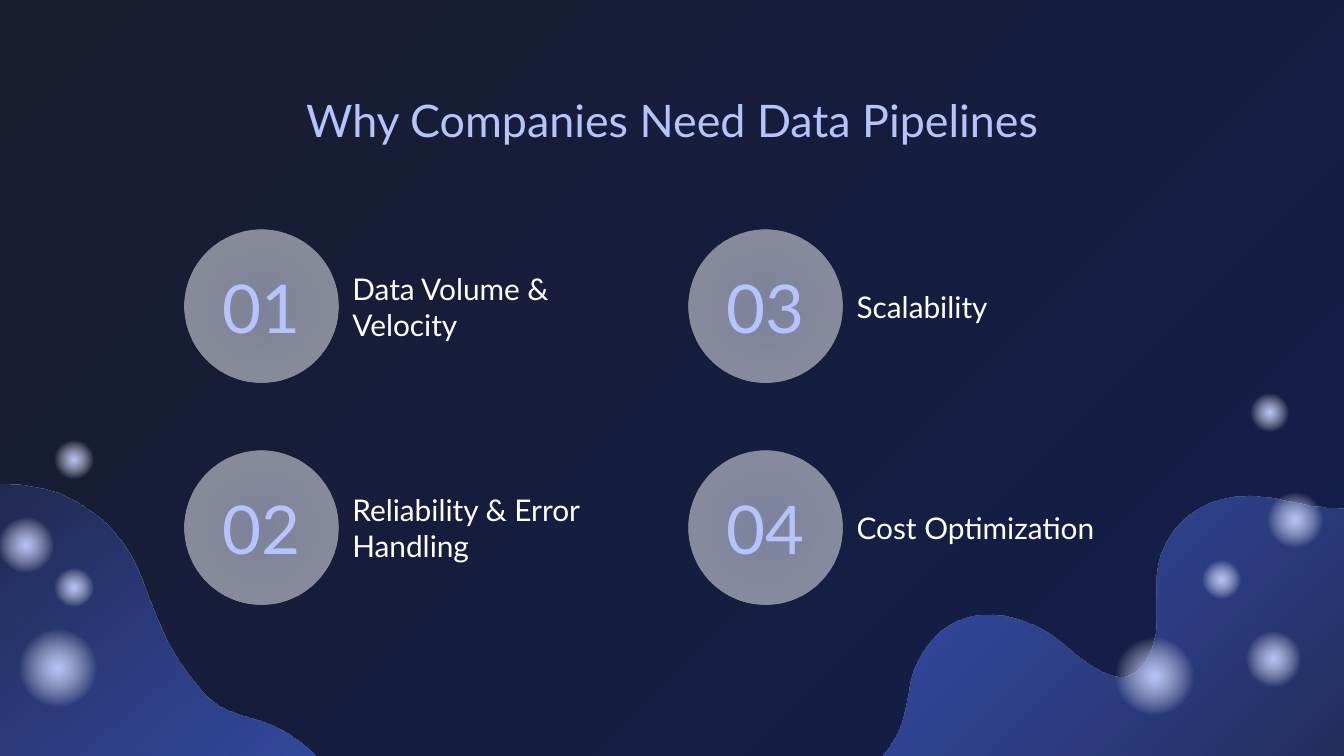
import pptx
import pptx.util
import pptx.dml.color
import pptx.enum.shapes
import pptx.enum.text
import pptx.oxml
import pptx.oxml.ns

Cm = pptx.util.Cm
RGBColor = pptx.dml.color.RGBColor
Anchor = pptx.enum.text.MSO_ANCHOR
Align = pptx.enum.text.PP_ALIGN

NIGHT = RGBColor(0x19, 0x1D, 0x30)
NAVY = RGBColor(0x13, 0x1E, 0x4B)
BLUE = RGBColor(0x4B, 0x6E, 0xF8)
LAVENDER = RGBColor(0xB5, 0xC4, 0xFC)
PALE = RGBColor(0xE7, 0xEC, 0xFF)
WHITE = RGBColor(0xFF, 0xFF, 0xFF)

# Gradient stops: position, colour, opacity (all in percent)
BACKDROP_STOPS = [(0, NIGHT, 100), (100, NAVY, 100)]
WAVE_STOPS = [(0, NIGHT, 100), (100, BLUE, 70)]
ORB_STOPS = [(0, LAVENDER, 100), (57, WHITE, 0), (100, WHITE, 0)]
BADGE_STOPS = [(0, PALE, 49), (77, WHITE, 49), (100, WHITE, 49)]

TITLE = "Why Companies Need Data Pipelines"
REASONS = ["Data Volume & Velocity", "Reliability & Error Handling",
           "Scalability", "Cost Optimization"]

BADGE_SIZE = 2.9
GRID_LEFT, GRID_TOP = 3.49, 4.34
COLUMN_STEP, ROW_STEP = 9.53, 4.18
LABEL_WIDTH, LABEL_HEIGHT = 5.97, 1.83

# Orbs: centre x, centre y, diameter in cm
ORBS = [(1.09, 12.62, 1.83), (0.5, 10.3, 1.3), (1.4, 8.69, 0.91),
        (1.4, 11.1, 0.91), (21.82, 12.78, 1.83), (24.07, 12.46, 1.3),
        (24, 7.8, 0.91), (23.09, 10.95, 0.91), (24.47, 9.84, 1.3)]

# Waves: start point, then Bezier segments (two controls and an end)
WAVE_UNIT = Cm(2.54)
RIGHT_START = (10.41, 3.63)
RIGHT_CURVES = [
    (10.33, 3.69, 10.2, 3.75, 10.1, 3.77), (9.94, 3.81, 9.78, 3.77, 9.62, 3.74),
    (9.51, 3.72, 9.4, 3.69, 9.29, 3.69), (9, 3.69, 8.76, 3.83, 8.65, 4.09),
    (8.53, 4.35, 8.69, 4.65, 8.52, 4.92), (8.34, 5.2, 8.04, 4.9, 7.87, 4.76),
    (7.66, 4.6, 7.32, 4.5, 7.08, 4.64), (6.96, 4.71, 6.86, 4.83, 6.81, 4.96),
    (6.75, 5.09, 6.76, 5.24, 6.71, 5.38), (6.66, 5.5, 6.57, 5.66, 6.44, 5.72),
    (6.3, 5.78, 6.15, 5.78, 6.01, 5.8), (5.43, 5.89, 4.86, 6.25, 4.63, 6.81),
    (4.6, 6.88, 4.57, 6.99, 4.57, 7.06)]
RIGHT_CORNERS = [(10.83, 7.06), (10.74, 3.25)]
LEFT_START = (1, 8.06)
LEFT_CURVES = [
    (1.18, 8.08, 1.37, 8.01, 1.51, 7.89), (1.63, 7.79, 1.71, 7.66, 1.78, 7.52),
    (1.84, 7.37, 1.86, 7.22, 1.93, 7.08), (2.08, 6.79, 2.38, 6.64, 2.48, 6.31),
    (2.54, 6.1, 2.51, 5.86, 2.39, 5.68), (2.3, 5.56, 2.18, 5.48, 2.05, 5.41),
    (1.98, 5.38, 1.92, 5.36, 1.85, 5.34), (1.8, 5.32, 1.75, 5.31, 1.7, 5.29),
    (1.61, 5.26, 1.54, 5.19, 1.48, 5.12), (1.34, 4.97, 1.24, 4.78, 1.16, 4.59),
    (1.08, 4.39, 1.03, 4.2, 0.9, 4.03), (0.78, 3.87, 0.62, 3.75, 0.43, 3.67),
    (0.34, 3.64, 0.25, 3.62, 0.15, 3.61), (-0.07, 3.59, -0.3, 3.64, -0.48, 3.77),
    (-0.62, 3.86, -0.73, 4, -0.73, 4.16), (-0.73, 4.27, -0.67, 4.37, -0.6, 4.45),
    (-0.5, 4.55, -0.37, 4.61, -0.29, 4.72), (-0.14, 4.9, -0.13, 5.17, -0.25, 5.37),
    (-0.37, 5.57, -0.58, 5.63, -0.8, 5.62), (-1.02, 5.62, -1.27, 5.74, -1.42, 5.9),
    (-1.58, 6.06, -1.67, 6.32, -1.61, 6.54), (-1.57, 6.68, -1.48, 6.8, -1.36, 6.87),
    (-1.29, 6.92, -1.2, 6.94, -1.11, 6.95), (-1.06, 6.95, -1.01, 6.96, -0.95, 6.96),
    (-0.88, 6.96, -0.8, 6.96, -0.72, 6.97), (-0.44, 6.99, -0.15, 7.06, 0.08, 7.24),
    (0.23, 7.36, 0.34, 7.52, 0.45, 7.68), (0.56, 7.81, 0.68, 7.95, 0.84, 8.02),
    (0.89, 8.04, 0.94, 8.05, 1, 8.06)]


def set_gradient(fill, properties, stops, angle=None):
    """Fill with a linear gradient, or a circular one when angle is None."""
    fill.background()
    stop_xml = "".join(
        f'<a:gs pos="{position * 1000}"><a:srgbClr val="{color}">'
        f'<a:alpha val="{opacity * 1000}"/></a:srgbClr></a:gs>'
        for position, color, opacity in stops)
    if angle is None:
        direction = ('<a:path path="circle"><a:fillToRect l="50000" t="50000" '
                     'r="50000" b="50000"/></a:path>')
    else:
        direction = f'<a:lin ang="{angle * 60000}" scaled="0"/>'
    gradient = pptx.oxml.parse_xml(
        f'<a:gradFill {pptx.oxml.ns.nsdecls("a")} rotWithShape="1">'
        f'<a:gsLst>{stop_xml}</a:gsLst>{direction}</a:gradFill>')
    properties.replace(properties.find(pptx.oxml.ns.qn("a:noFill")), gradient)


def style_shape(shape, stops, angle=None):
    shape.shadow.inherit = False
    shape.line.fill.background()
    set_gradient(shape.fill, shape.element.spPr, stops, angle)


def bend_lines(shape, count):
    """Turn the first 3 * count straight segments into count Bezier curves."""
    lines = list(shape.element.iter(pptx.oxml.ns.qn("a:lnTo")))
    for first in range(0, 3 * count, 3):
        curve = pptx.oxml.parse_xml(
            f'<a:cubicBezTo {pptx.oxml.ns.nsdecls("a")}/>')
        lines[first].addprevious(curve)
        for line in lines[first:first + 3]:
            curve.append(line[0])
            line.getparent().remove(line)


def add_wave(slide, start, curves, angle, corners=()):
    points = [start]
    for x1, y1, x2, y2, x3, y3 in curves:
        points += [(x1, y1), (x2, y2), (x3, y3)]
    points += corners
    outline = [(round(x * WAVE_UNIT), round(y * WAVE_UNIT)) for x, y in points]
    builder = slide.shapes.build_freeform(*outline[0])
    builder.add_line_segments(outline[1:], close=True)
    wave = builder.convert_to_shape()
    bend_lines(wave, len(curves))
    style_shape(wave, WAVE_STOPS, angle)


def add_disc(slide, left, top, size, stops):
    disc = slide.shapes.add_shape(pptx.enum.shapes.MSO_SHAPE.OVAL,
                                  Cm(left), Cm(top), Cm(size), Cm(size))
    style_shape(disc, stops)
    return disc


def write_text(shape, text, size, color, align, anchor=Anchor.MIDDLE, inset=0.25):
    frame = shape.text_frame
    frame_format = {"word_wrap": True, "vertical_anchor": anchor,
                    "auto_size": pptx.enum.text.MSO_AUTO_SIZE.NONE}
    for side in ("left", "top", "right", "bottom"):
        frame_format[f"margin_{side}"] = Cm(inset)
    for name, value in frame_format.items():
        setattr(frame, name, value)
    para = frame.paragraphs[0]
    para.alignment = align
    para.space_before = pptx.util.Pt(0)
    span = para.add_run()
    span.text = text
    for name, value in {"name": "Lato", "size": pptx.util.Pt(size),
                        "bold": False}.items():
        setattr(span.font, name, value)
    span.font.color.rgb = color


def place(shape, left, top, width, height):
    for name, value in {"left": left, "top": top,
                        "width": width, "height": height}.items():
        setattr(shape, name, Cm(value))


def remove_bullet(shape):
    properties = shape.text_frame.paragraphs[0]._p.get_or_add_pPr()
    properties.set("marL", "0")
    properties.set("indent", "0")
    properties.append(pptx.oxml.parse_xml(
        f'<a:buNone {pptx.oxml.ns.nsdecls("a")}/>'))


def add_reason(slide, index, label, text):
    column, row = divmod(index, 2)
    left = GRID_LEFT + column * COLUMN_STEP
    top = GRID_TOP + row * ROW_STEP
    badge = add_disc(slide, left, top, BADGE_SIZE, BADGE_STOPS)
    write_text(badge, f"{index + 1:02}", 36, LAVENDER, Align.CENTER, inset=0)
    place(label, left + BADGE_SIZE + 0.02, top + (BADGE_SIZE - LABEL_HEIGHT) / 2,
          LABEL_WIDTH, LABEL_HEIGHT)
    write_text(label, text, 16, WHITE, Align.LEFT)
    remove_bullet(label)


def main():
    deck = pptx.Presentation()
    deck.slide_width, deck.slide_height = Cm(25.4), Cm(14.29)
    slide = deck.slides.add_slide(deck.slide_layouts.get_by_name("Comparison"))
    backdrop = slide.background.fill
    set_gradient(backdrop, slide.element.cSld.bg.bgPr, BACKDROP_STOPS, 45)

    add_wave(slide, RIGHT_START, RIGHT_CURVES, 225, RIGHT_CORNERS)
    add_wave(slide, LEFT_START, LEFT_CURVES, 50)
    for x, y, size in ORBS:
        add_disc(slide, x - size / 2, y - size / 2, size, ORB_STOPS)

    title, *labels = slide.placeholders
    place(title, 2, 1.5, 21.4, 1.6)
    write_text(title, TITLE, 24, LAVENDER, Align.CENTER, anchor=Anchor.TOP)
    for index, (label, text) in enumerate(zip(labels, REASONS)):
        add_reason(slide, index, label, text)
    deck.save("out.pptx")


if __name__ == "__main__":
    main()
